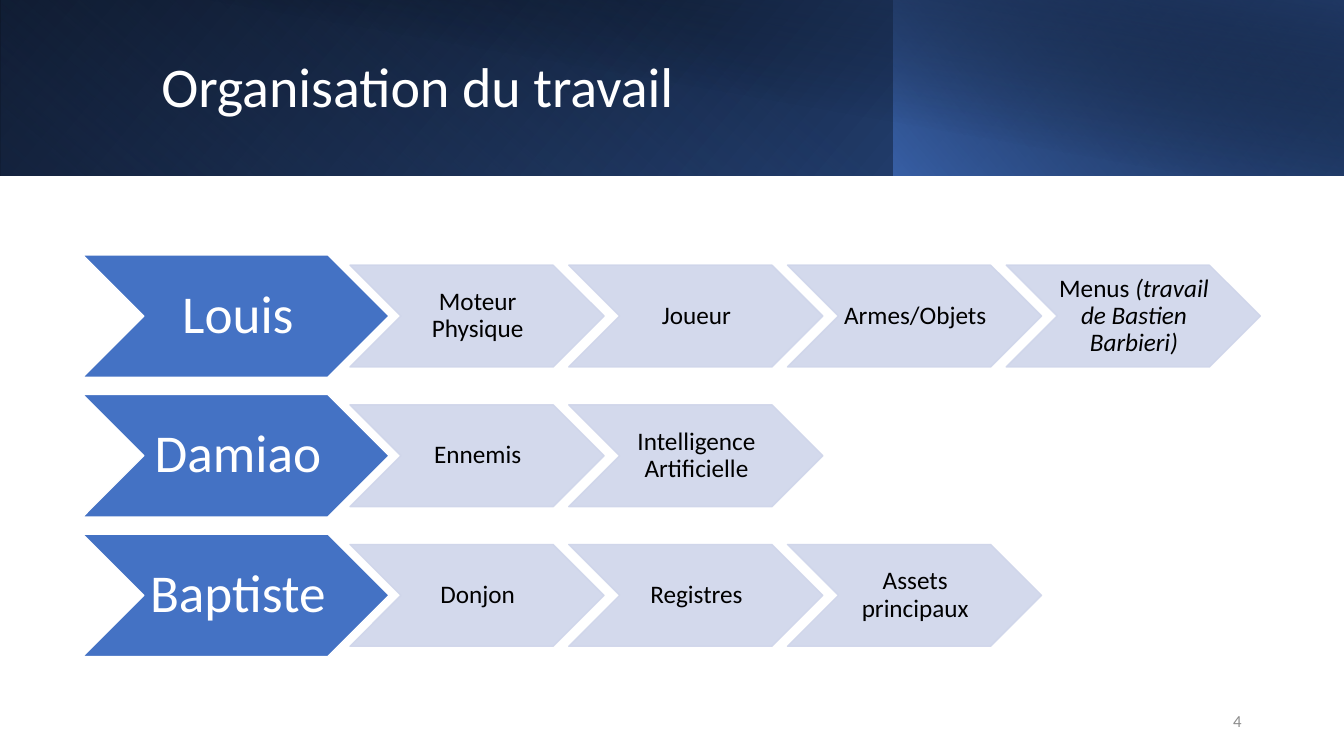
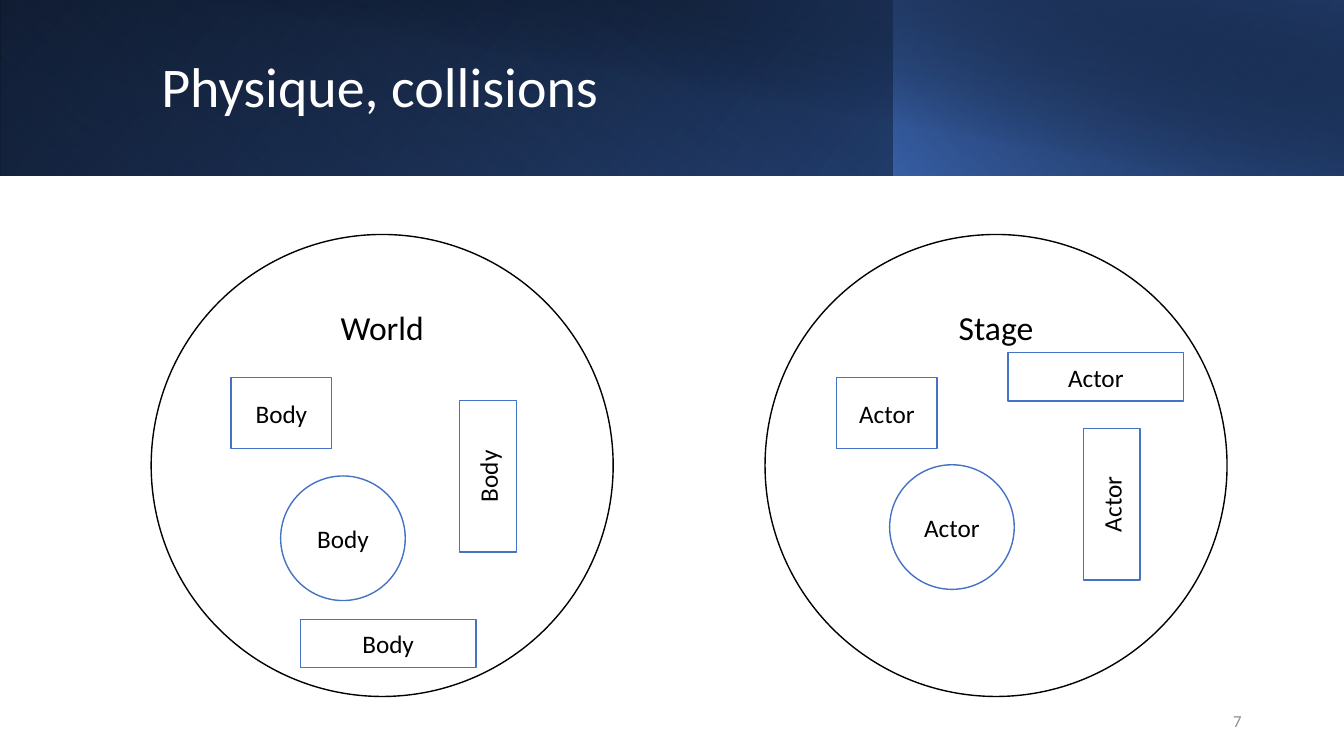
from pptx import Presentation
from pptx import util as u
from pptx.dml import color
from pptx.enum import shapes, text
from pptx.oxml import ns, xmlchemy

WHITE = color.RGBColor(0xFF, 0xFF, 0xFF)
BLACK = color.RGBColor(0x00, 0x00, 0x00)
BLUE = color.RGBColor(0x44, 0x72, 0xC4)
MID_BLUE = color.RGBColor(0x2F, 0x55, 0x97)
NAVY = color.RGBColor(0x20, 0x38, 0x64)
PALE = color.RGBColor(0xCF, 0xD5, 0xEA)
GREY = color.RGBColor(0x8C, 0x8C, 0x8C)

FONT = "Calibri"
WIDTH, HEIGHT = 960, 540
BAND_HEIGHT = 125.3
KIND = shapes.MSO_SHAPE

BAND_LAYERS = (
    (0, WIDTH, 140, True, 0, ((0, BLACK, 100), (100, MID_BLUE, 100))),
    (0, 639, 230, True, 180, ((20, BLUE, 0), (100, NAVY, 55))),
    (638.5, 321.5, 220, True, 0, ((0, BLUE, 66), (100, BLACK, 30))),
    (36, 924, 280, False, 0, ((50, BLACK, 0), (99, NAVY, 52))),
)

TEAM = (
    ("Louis", (("Moteur Physique",), ("Joueur",), ("Armes/Objets",),
               ("Menus ", "(travail de Bastien Barbieri)"))),
    ("Damiao", (("Ennemis",), ("Intelligence Artificielle",))),
    ("Baptiste", (("Donjon",), ("Registres",), ("Assets principaux",))),
)

SQUARE, TALL, ROUND, FLAT = (
    (KIND.RECTANGLE, 72, 51, 0),
    (KIND.RECTANGLE, 108, 40.5, 270),
    (KIND.OVAL, 89, 89, 0),
    (KIND.RECTANGLE, 125.5, 34.5, 0),
)
WORLD_PIECES = ((SQUARE, 57, 102), (TALL, 186.5, 152.5),
                (ROUND, 92.5, 172.5), (FLAT, 106.5, 275))
STAGE_PIECES = ((SQUARE, 51, 102), (TALL, 193.5, 172.5),
                (ROUND, 89, 164.5), (FLAT, 173.5, 84.5))


def set_alpha(colour_element, percent):
    """Make one colour element partly transparent."""
    alpha = xmlchemy.OxmlElement("a:alpha")
    alpha.set("val", str(percent * 1000))
    colour_element.append(alpha)


def add_shape(slide, kind, left, top, width, height, fill=None, line=None):
    """Add a flat preset shape with an optional solid fill and 1 pt line."""
    shape = slide.shapes.add_shape(kind, u.Pt(left), u.Pt(top), u.Pt(width), u.Pt(height))
    shape.shadow.inherit = False
    if fill is not None:
        shape.fill.solid()
        shape.fill.fore_color.rgb = fill
    if line is None:
        shape.line.fill.background()
    else:
        shape.line.color.rgb = line
        shape.line.width = u.Pt(1)
    return shape


def write(shape, runs, size, colour, align=text.PP_ALIGN.CENTER,
          anchor=text.MSO_ANCHOR.MIDDLE, spacing=None):
    """Write one paragraph whose runs after the first are italic."""
    frame = shape.text_frame
    frame.word_wrap = True
    frame.vertical_anchor = anchor
    paragraph = frame.paragraphs[0]
    paragraph.alignment = align
    paragraph.line_spacing = spacing
    paragraph.font.name = FONT
    paragraph.font.size = u.Pt(size)
    paragraph.font.color.rgb = colour
    for index, words in enumerate(runs):
        run = paragraph.add_run()
        run.text = words
        if index:
            run.font.italic = True


def add_band(slide):
    """Stack the gradient layers of the title band."""
    for left, width, angle, flipped, rotation, stops in BAND_LAYERS:
        shape = add_shape(slide, KIND.RECTANGLE, left, 0, width, BAND_HEIGHT)
        shape.rotation = rotation
        if flipped:
            shape._element.spPr.find(ns.qn("a:xfrm")).set("flipH", "1")
        shape.fill.gradient()
        shape.fill.gradient_angle = 360 - angle
        for stop, (position, colour, _) in zip(shape.fill.gradient_stops, stops):
            stop.position = position / 100
            stop.color.rgb = colour
        elements = shape._element.spPr.findall(".//" + ns.qn("a:srgbClr"))
        for element, (_, _, percent) in zip(elements, stops):
            set_alpha(element, percent)


def add_content_slide(presentation, title, number):
    """Add a slide with the band, its title and the page number."""
    slide = presentation.slides.add_slide(presentation.slide_layouts[5])
    add_band(slide)
    heading = slide.shapes.title
    slide.shapes._spTree.append(heading._element)
    heading.left, heading.top = u.Pt(108), u.Pt(23)
    heading.width, heading.height = u.Pt(779), u.Pt(81.5)
    write(heading, (title,), 40, WHITE, text.PP_ALIGN.LEFT, spacing=0.9)
    page = slide.shapes.add_textbox(u.Pt(678), u.Pt(500.5), u.Pt(216), u.Pt(28.75))
    write(page, (number,), 12, GREY, text.PP_ALIGN.RIGHT)
    return slide


def add_chevron(slide, box, runs, size, fill, line, colour, margins):
    """Add a chevron with centred text."""
    shape = add_shape(slide, KIND.CHEVRON, *box, fill, line)
    frame = shape.text_frame
    frame.margin_left, frame.margin_right = u.Pt(margins[0]), u.Pt(0)
    frame.margin_top = frame.margin_bottom = u.Pt(margins[1])
    write(shape, runs, size, colour, spacing=0.9)
    return shape


def add_task_row(slide, left, top, person, tasks):
    """Add a person's chevron followed by the chevrons of the tasks."""
    height, task_height = 87.5, 72.7
    add_chevron(slide, (left, top, 219, height), (person,), 38,
                BLUE, WHITE, WHITE, (3, 2))
    for index, runs in enumerate(tasks):
        box = (left + 191 + index * 156.25, top + (height - task_height) / 2,
               181.5, task_height)
        shape = add_chevron(slide, box, runs, 18, PALE, PALE, BLACK, (1, 1))
        for element in shape._element.spPr.iter(ns.qn("a:srgbClr")):
            set_alpha(element, 90)


def add_container(slide, left, top, name, label, pieces):
    """Add a large named circle and the labelled pieces inside it."""
    circle = add_shape(slide, KIND.OVAL, left, top, 330, 330, WHITE, BLACK)
    write(circle, (name,), 24, BLACK, anchor=text.MSO_ANCHOR.TOP)
    for (kind, width, height, rotation), x, y in pieces:
        piece = add_shape(slide, kind, left + x, top + y, width, height, WHITE, BLUE)
        piece.rotation = rotation
        write(piece, (label,), 18, BLACK)


def main():
    """Build and save the presentation."""
    presentation = Presentation()
    presentation.slide_width, presentation.slide_height = u.Pt(WIDTH), u.Pt(HEIGHT)

    work = add_content_slide(presentation, "Organisation du travail", "4")
    for index, (person, tasks) in enumerate(TEAM):
        add_task_row(work, 59, 182 + index * 99.75, person, tasks)

    physics = add_content_slide(presentation, "Physique, collisions", "7")
    add_container(physics, 108, 167.5, "World", "Body", WORLD_PIECES)
    add_container(physics, 546.5, 167.5, "Stage", "Actor", STAGE_PIECES)

    presentation.save("out.pptx")


if __name__ == "__main__":
    main()
